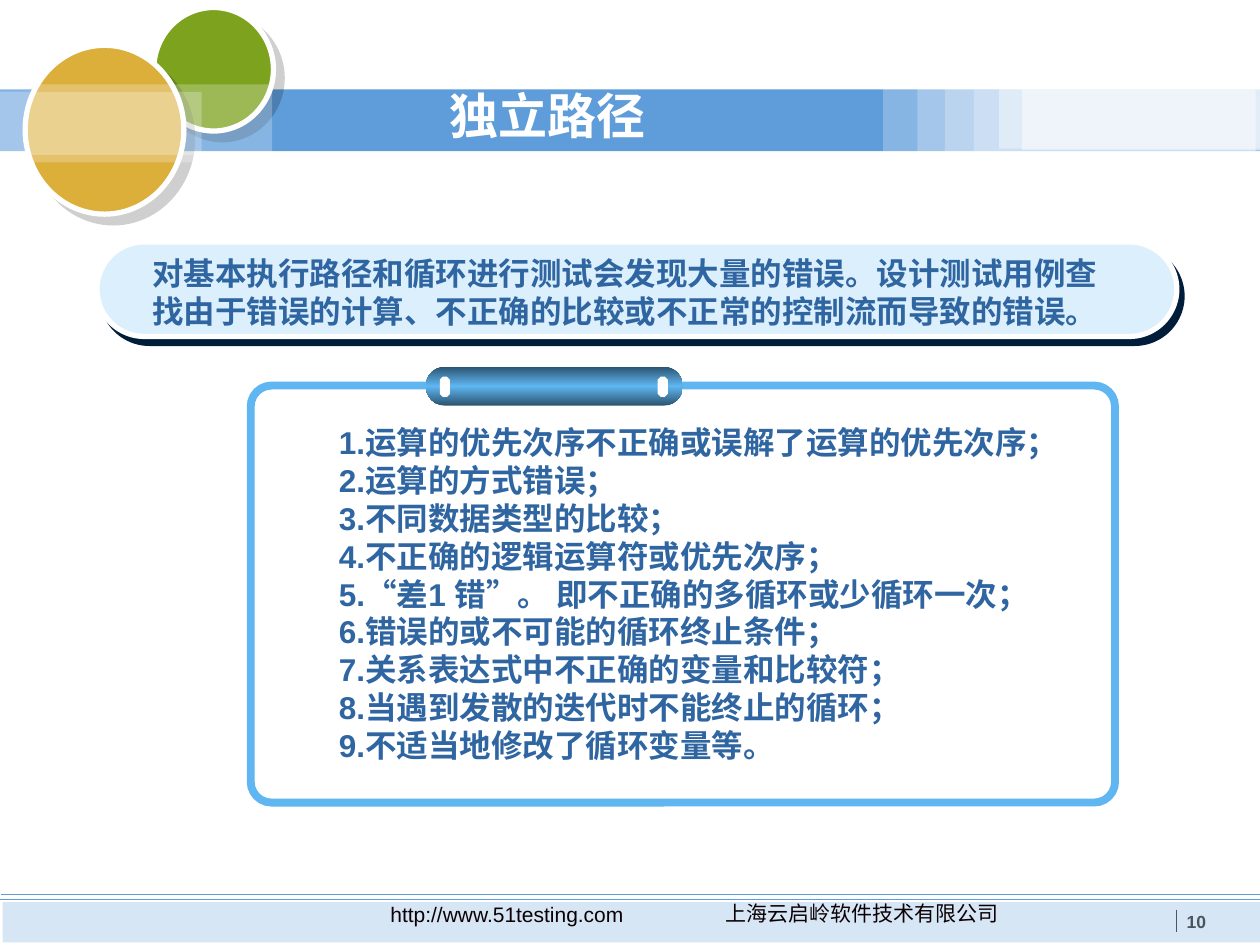
from lxml.etree import SubElement
from pptx import Presentation
from pptx.dml.color import RGBColor
from pptx.enum.shapes import MSO_CONNECTOR, MSO_SHAPE as SHAPE
from pptx.enum.text import MSO_ANCHOR as ANCHOR, MSO_AUTO_SIZE as AUTO, PP_ALIGN as ALIGN
from pptx.oxml import parse_xml
from pptx.oxml.ns import nsdecls, qn
from pptx.util import Inches, Pt

COLORS = {
    "band": "5E9CDA", "green": "7CA21E", "gold": "DCAE3A", "white": "FFFFFF",
    "black": "000000", "navy": "001D3A", "pale": "DCEFFC", "sky": "5FB6F1",
    "mist": "6DBBF1", "steel": "2B536F", "slate": "4A565E", "ink": "0B0104",
    "text": "2F65A1",
}


def style_shape(shape, fill=None, alpha=100, line=None, width=3, shadow=None, angle=0):
    shape.shadow.inherit = False
    properties = shape._element.spPr
    if isinstance(fill, list):
        shape.fill.gradient()
        stops = "".join(
            f'<a:gs pos="{pos * 1000}"><a:srgbClr val="{COLORS[color]}">'
            f'<a:alpha val="{opacity * 1000}"/></a:srgbClr></a:gs>'
            for pos, color, opacity in fill)
        gradient = parse_xml(
            f'<a:gradFill {nsdecls("a")} rotWithShape="1"><a:gsLst>{stops}</a:gsLst>'
            f'<a:lin ang="{angle * 60000}" scaled="0"/></a:gradFill>')
        properties.replace(properties.find(qn("a:gradFill")), gradient)
    elif fill:
        shape.fill.solid()
        shape.fill.fore_color.rgb = RGBColor.from_string(COLORS[fill])
        if alpha < 100:
            color = properties.find(qn("a:solidFill"))[0]
            SubElement(color, qn("a:alpha"), val=str(alpha * 1000))
    else:
        shape.fill.background()
    if line:
        shape.line.color.rgb = RGBColor.from_string(COLORS[line])
        shape.line.width = Pt(width)
    else:
        shape.line.fill.background()
    if shadow:
        color, opacity, distance, direction = shadow
        outer = SubElement(
            properties.find(qn("a:effectLst")), qn("a:outerShdw"), blurRad="0",
            dist=str(Pt(distance)), dir=str(direction * 60000), algn="ctr", rotWithShape="0")
        tint = SubElement(outer, qn("a:srgbClr"), val=COLORS[color])
        SubElement(tint, qn("a:alpha"), val=str(opacity * 1000))


def write_text(box, lines, size, color, bold=False, align=ALIGN.LEFT, wrap=True):
    frame = box.text_frame
    frame.text = "\n".join(lines)
    frame.word_wrap = wrap
    frame.auto_size = AUTO.NONE
    for paragraph in frame.paragraphs:
        paragraph.alignment = align
        paragraph.space_before = Pt(0)
        for run in paragraph.runs:
            run.font.name = "Arial"
            run.font.size = Pt(size)
            run.font.bold = bold
            run.font.color.rgb = RGBColor.from_string(COLORS[color])


prs = Presentation()
prs.slide_width, prs.slide_height = Inches(10), Inches(7.5)
slide = prs.slides.add_slide(prs.slide_layouts[1])
shapes = slide.shapes
title, errors = slide.placeholders

disc_shadow = ("black", 19, 7.1, 45)
green_disc = dict(fill="green", line="white", shadow=disc_shadow)
gold_disc = dict(fill="gold", line="white", shadow=disc_shadow)
veil = dict(fill="white", alpha=25)
for kind, place, look in [
    (SHAPE.RECTANGLE, (0, 0.71, 10, 0.49), dict(fill="band")),
    (SHAPE.OVAL, (1.22, 0.06, 0.95, 0.98), green_disc),
    (SHAPE.RECTANGLE, (7.01, 0.68, 2.95, 0.56), veil),
    (SHAPE.RECTANGLE, (7.28, 0.7, 2.72, 0.57), veil),
    (SHAPE.RECTANGLE, (7.5, 0.69, 2.5, 0.57), veil),
    (SHAPE.RECTANGLE, (7.73, 0.71, 2.24, 0.49), veil),
    (SHAPE.RECTANGLE, (7.93, 0.69, 2.07, 0.49), dict(fill="white", alpha=40)),
    (SHAPE.RECTANGLE, (8.11, 0.7, 1.89, 0.49), dict(fill="white", alpha=48)),
    (SHAPE.RECTANGLE, (0.02, 7.16, 9.98, 0.32), dict(fill="band", alpha=25)),
    (SHAPE.OVAL, (0.2, 0.36, 1.26, 1.34), gold_disc),
    (SHAPE.RECTANGLE, (0, 0.67, 2.16, 0.56), veil),
    (SHAPE.RECTANGLE, (0, 0.73, 1.6, 0.56), veil),
]:
    style_shape(shapes.add_shape(kind, *map(Inches, place)), **look)

for x1, y1, x2, y2, color in [
    (0, 7.14, 10, 7.14, "band"),
    (0.01, 7.1, 10.01, 7.1, "band"),
    (9.34, 7.22, 9.34, 7.4, "slate"),
]:
    rule = shapes.add_connector(MSO_CONNECTOR.STRAIGHT, *map(Inches, (x1, y1, x2, y2)))
    rule.line.color.rgb = RGBColor.from_string(COLORS[color])
    rule.line.width = Pt(0.75)
    SubElement(rule._element.spPr, qn("a:effectLst"))

for place, words, size, color, bold, align in [
    ((5.08, 7.1, 3.52, 0.3), "上海云启岭软件技术有限公司", 12, "ink", False, ALIGN.CENTER),
    ((2.39, 7.11, 3.27, 0.3), "http://www.51testing.com", 12, "ink", False, ALIGN.CENTER),
    ((9.32, 7.18, 0.48, 0.27), "10", 10, "slate", True, ALIGN.LEFT),
]:
    write_text(shapes.add_textbox(*map(Inches, place)), [words], size, color, bold, align)

arrow_outline = [
    (0.39, 4.58), (0.4, 4.55), (0.43, 4.49), (0.45, 4.44), (0.48, 4.39), (0.51, 4.34),
    (0.56, 4.29), (0.61, 4.23), (0.67, 4.18), (0.74, 4.13), (0.81, 4.09), (0.89, 4.06),
    (0.97, 4.04), (1.03, 4.02), (1.09, 4.02), (1.19, 4.02), (1.23, 4.03), (1.26, 4.04),
    (1.3, 4.06), (1.19, 4.23), (1.55, 4.1), (1.47, 3.66), (1.4, 3.84), (1.36, 3.82),
    (1.3, 3.81), (1.25, 3.8), (1.21, 3.79), (1.15, 3.79), (1.09, 3.8), (1.03, 3.81),
    (0.96, 3.84), (0.89, 3.87), (0.81, 3.91), (0.73, 3.97), (0.66, 4.03), (0.6, 4.09),
    (0.55, 4.16), (0.51, 4.23), (0.47, 4.3), (0.45, 4.36), (0.42, 4.42), (0.41, 4.47),
    (0.39, 4.55),
]
outline = shapes.build_freeform(*arrow_outline[0], scale=float(Inches(1)))
outline.add_line_segments(arrow_outline[1:], close=True)
style_shape(outline.convert_to_shape(),
            fill=[(0, "sky", 100), (100, "mist", 32)], angle=180)

banner = dict(fill="pale", line="white", shadow=("navy", 100, 5, 53))
frame_edge = dict(line="sky", width=4.5)
clip = dict(fill=[(0, "steel", 100), (50, "sky", 100), (100, "steel", 100)], angle=90)
hole = dict(fill="white")
for kind, place, corner, look in [
    (SHAPE.ROUNDED_RECTANGLE, (0.77, 1.92, 8.57, 0.75), 0.5, banner),
    (SHAPE.ROUNDED_RECTANGLE, (1.99, 3.06, 6.86, 3.31), 0.05, frame_edge),
    (SHAPE.ROUNDED_RECTANGLE, (3.38, 2.91, 2.04, 0.31), 0.5, clip),
    (SHAPE.OCTAGON, (5.22, 2.99, 0.08, 0.16), 0.29, hole),
    (SHAPE.OCTAGON, (3.49, 2.99, 0.08, 0.16), 0.29, hole),
]:
    part = shapes.add_shape(kind, *map(Inches, place))
    part.adjustments[0] = corner
    style_shape(part, **look)

summary = shapes.add_textbox(Inches(1.11), Inches(1.97), Inches(7.7), Inches(0.7))
write_text(summary, [
    "对基本执行路径和循环进行测试会发现大量的错误。设计测试用例查",
    "找由于错误的计算、不正确的比较或不正常的控制流而导致的错误。",
], 18, "text", True, ALIGN.CENTER, wrap=False)

for holder, place, anchor in [
    (title, (3.47, 0.42, 2.24, 1.04), ANCHOR.MIDDLE),
    (errors, (2.09, 3.31, 6.47, 2.8), ANCHOR.TOP),
]:
    holder.left, holder.top, holder.width, holder.height = map(Inches, place)
    holder.text_frame.vertical_anchor = anchor
    shapes._spTree.append(holder._element)

write_text(title, ["独立路径"], 28, "white", True)
title.text_frame.paragraphs[0].line_spacing = 0.9

write_text(errors, [
    "1.运算的优先次序不正确或误解了运算的优先次序；",
    "2.运算的方式错误；",
    "3.不同数据类型的比较；",
    "4.不正确的逻辑运算符或优先次序；",
    "5.“差1 错”。 即不正确的多循环或少循环一次；",
    "6.错误的或不可能的循环终止条件；",
    "7.关系表达式中不正确的变量和比较符；",
    "8.当遇到发散的迭代时不能终止的循环；",
    "9.不适当地修改了循环变量等。",
], 18, "text", True)
for error in errors.text_frame.paragraphs:
    error.level = 1
    indent = error._p.get_or_add_pPr()
    indent.set("marL", str(Inches(0.5)))
    indent.set("indent", "0")
    SubElement(indent, qn("a:buNone"))

prs.save("out.pptx")
